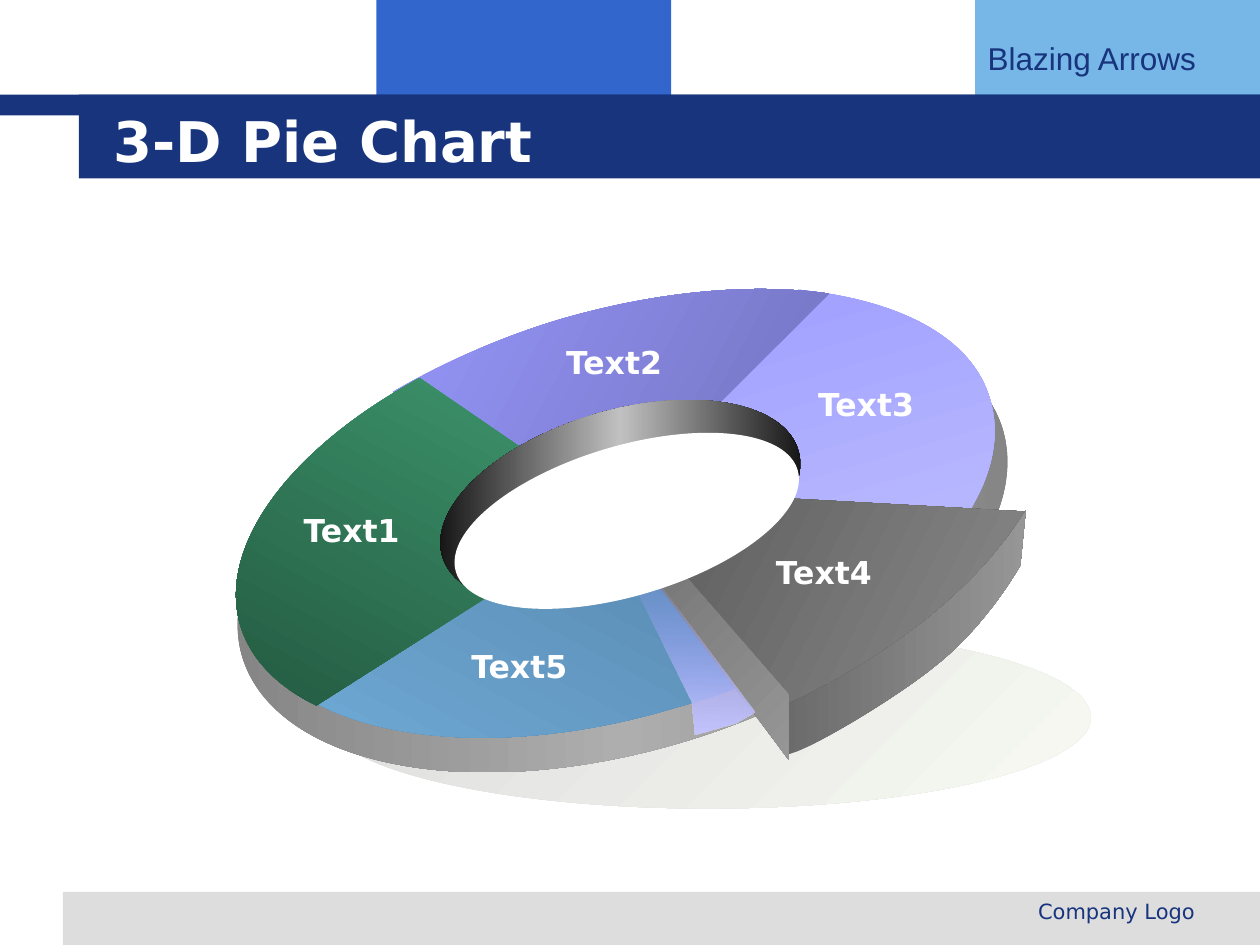
import math
from dataclasses import dataclass

import pptx
import pptx.dml.color
import pptx.enum.shapes
import pptx.enum.text
import pptx.oxml
import pptx.oxml.ns
import pptx.util
from pptx.util import Cm

ALIGN = pptx.enum.text.PP_ALIGN
SHAPE = pptx.enum.shapes.MSO_SHAPE


@dataclass(frozen=True)
class Theme:
    navy: str = "17347D"
    blue: str = "3366CC"
    sky: str = "77B7E7"
    silver: str = "DDDDDD"
    white: str = "FFFFFF"
    body_font: str = "DejaVu Sans"
    tag_font: str = "Arial"
    title_size: int = 32
    label_size: int = 18
    footer_size: int = 12
    tilt: float = 343.4


THEME = Theme()
LEVEL = 360 - THEME.tilt  # gradient angle that cancels the tilt

# Gradients: angle, then (position %, colour, opacity %) stops
SHADOW = (45, [(0, THEME.silver, 100), (100, "F7F9F2", 100)])
RIM = (LEVEL, [(0, "808080", 100), (50, "AEAEAE", 100), (100, "808080", 100)])
BASE = (45, [(0, "2791BB", 100), (100, "000000", 100)])
INNER_WALL = (LEVEL, [(0, "000000", 100), (50, "C1C1C1", 100), (100, "000000", 100)])
GAP_FLOOR = (90, [(0, "9999FF", 19), (100, "C3C3FF", 100)])


def two_tone(angle, first, last):
    return angle, [(0, first, 100), (100, last, 100)]


# Outlines in cm: a pair is a straight step, six numbers are a cubic curve
SLICES = [
    (two_tone(90, "9999FF", "C0C0FF"), THEME.tilt,
     [(16.1, 5.84), (18.19, 6.05, 19.61, 6.83, 19.96, 8.05),
      (20.19, 8.81, 19.99, 9.7, 19.35, 10.59), (12.4, 10.31)]),
    (two_tone(135, "5686AC", "73B0DE"), THEME.tilt,
     [(5.13, 13.03), (6.15, 14.88, 9.8, 15.42, 13.61, 14.27),
      (14.05, 14.15, 14.48, 14.02, 14.88, 13.84), (12.45, 10.36)]),
    (two_tone(45, "9797FC", "6E6EB7"), THEME.tilt,
     [(7.92, 7.9), (8.92, 7.32, 10.06, 6.81, 11.25, 6.45),
      (13.16, 5.89, 15.11, 5.69, 16.71, 5.92), (12.37, 10.24)]),
    (two_tone(135, "419F74", "22563E"), THEME.tilt,
     [(8.46, 7.62), (5.79, 9.07, 4.37, 11.05, 4.85, 12.62),
      (5.05, 13.28, 5.59, 13.84, 6.38, 14.22), (12.45, 10.36)]),
]
PULLED_SLICE = [
    (two_tone(0, "6B6B6B", "969696"), 0,
     [(15.85, 14.2), (20.68, 10.29), (20.57, 11.4),
      (20.27, 11.91, 19.69, 12.75, 18.9, 13.39),
      (18.14, 14.02, 16.38, 15.09, 15.88, 15.21),
      (15.8, 14.86, 15.85, 14.2, 15.85, 14.2)]),
    (two_tone(45, "555555", "8E8E8E"), 342.3,
     [(20.65, 10.31), (19.69, 11.86, 17.86, 13.31, 15.6, 14.3), (12.55, 9.86)]),
    (two_tone(45, "767676", "969696"), 0,
     [(15.9, 14), (15.9, 15.32), (13.06, 11.51), (13.49, 11.23)]),
]
GAP = [(12.83, 11.89), (13.94, 14.15), (14, 14.81), (14.81, 14.58),
       (15.21, 14.35), (13.31, 11.81)]
LABELS = [("Text1", 5.82, 10.18), ("Text2", 11.11, 6.8), ("Text3", 16.19, 7.64),
          ("Text4", 15.34, 11.02), ("Text5", 9.2, 12.91)]


def rgb(colour):
    return pptx.dml.color.RGBColor.from_string(colour)


def paint(shape, fill):
    """Fill with a plain colour or a gradient; no outline, no shadow."""
    shape.shadow.inherit = False
    shape.line.fill.background()
    if isinstance(fill, str):
        shape.fill.solid()
        shape.fill.fore_color.rgb = rgb(fill)
        return
    angle, stops = fill
    shape.fill.gradient()
    shape.fill.gradient_angle = (360 - angle) % 360
    stop_list = shape.element.spPr.find(".//" + pptx.oxml.ns.qn("a:gsLst"))
    for old_stop in list(stop_list):
        stop_list.remove(old_stop)
    for position, colour, opacity in stops:
        alpha = f'<a:alpha val="{opacity * 1000}"/>' if opacity < 100 else ""
        stop_list.append(pptx.oxml.parse_xml(
            f'<a:gs {pptx.oxml.ns.nsdecls("a")} pos="{position * 1000}">'
            f'<a:srgbClr val="{colour}">{alpha}</a:srgbClr></a:gs>'))


def write(shape, text, size, colour, font=THEME.body_font, bold=False,
          align=ALIGN.LEFT, wrap=True, anchor=pptx.enum.text.MSO_ANCHOR.TOP):
    frame = shape.text_frame
    frame.text = text
    frame.word_wrap = wrap
    frame.vertical_anchor = anchor
    paragraph = frame.paragraphs[0]
    paragraph.alignment = align
    style = paragraph.runs[0].font
    style.size, style.name, style.bold = pptx.util.Pt(size), font, bold
    style.color.rgb = rgb(colour)


def add_block(slide, kind, box, fill, rotation=0):
    block = slide.shapes.add_shape(kind, *map(Cm, box))
    block.rotation = rotation
    paint(block, fill)
    return block


def turn(point, degrees):
    c, s = math.cos(math.radians(degrees)), math.sin(math.radians(degrees))
    return point[0] * c - point[1] * s, point[0] * s + point[1] * c


def bend(part, outline):
    """Join the three line steps of each curve into one cubic step."""
    lines = iter(part.element.findall(".//" + pptx.oxml.ns.qn("a:lnTo")))
    for step in outline[1:]:
        first = next(lines)
        if len(step) == 2:
            continue
        curve = pptx.oxml.parse_xml(f'<a:cubicBezTo {pptx.oxml.ns.nsdecls("a")}/>')
        first.addprevious(curve)
        for line in (first, next(lines), next(lines)):
            curve.append(line[0])
            line.getparent().remove(line)


def add_outline(slide, outline, fill, rotation=0):
    """Draw the outline upright, then rotate it into place so its gradient tilts too."""
    points = [turn(step[i:i + 2], -rotation)
              for step in outline for i in range(0, len(step), 2)]
    middle = [(min(axis) + max(axis)) / 2 for axis in zip(*points)]
    target = turn(middle, rotation)
    placed = [(Cm(x - middle[0] + target[0]), Cm(y - middle[1] + target[1]))
              for x, y in points]
    builder = slide.shapes.build_freeform(*placed[0], scale=1.0)
    builder.add_line_segments(placed[1:], close=True)
    part = builder.convert_to_shape()
    bend(part, outline)
    part.rotation = rotation
    paint(part, fill)


def add_label(slide, text, box, size, colour, **style):
    label = slide.shapes.add_textbox(*map(Cm, box))
    write(label, text, size, colour, **style)


def add_frame(slide):
    add_block(slide, SHAPE.RECTANGLE, (7.59, 0, 5.94, 2.34), THEME.blue)
    tag = add_block(slide, SHAPE.RECTANGLE, (19.66, 0, 5.74, 2.34), THEME.sky)
    write(tag, "Blazing Arrows", THEME.label_size, THEME.navy, font=THEME.tag_font,
          wrap=False, anchor=pptx.enum.text.MSO_ANCHOR.MIDDLE)
    add_block(slide, SHAPE.RECTANGLE, (1.27, 17.98, 24.13, 1.07), THEME.silver)
    for band in ((0, 1.91, 25.4, 0.42), (1.59, 1.91, 23.81, 1.69)):
        add_block(slide, SHAPE.RECTANGLE, band, THEME.navy)
    add_label(slide, "Company Logo", (16.29, 17.98, 8.05, 0.89),
              THEME.footer_size, THEME.navy, align=ALIGN.RIGHT)


def add_pie(slide):
    # Shadow and solid ring
    add_block(slide, SHAPE.OVAL, (6.55, 12.62, 15.44, 3.68), SHADOW)
    add_block(slide, SHAPE.OVAL, (4.55, 6.76, 16, 8.38), RIM, THEME.tilt)
    add_block(slide, SHAPE.OVAL, (4.7, 6.3, 15.44, 8.13), BASE, THEME.tilt)
    # Slices, the pulled one in front
    for fill, rotation, outline in SLICES + PULLED_SLICE:
        add_outline(slide, outline, fill, rotation)
    # Hole and labels
    add_block(slide, SHAPE.OVAL, (8.76, 8.28, 7.49, 3.73), INNER_WALL, THEME.tilt)
    for text, left, top in LABELS:
        add_label(slide, text, (left, top, 2.54, 1.02), THEME.label_size,
                  THEME.white, bold=True, align=ALIGN.CENTER, wrap=False)
    add_outline(slide, GAP, GAP_FLOOR)
    add_block(slide, SHAPE.OVAL, (9.04, 8.99, 7.19, 3.02), THEME.white, THEME.tilt)


def set_title(slide, text):
    title = slide.shapes.title
    title.left, title.top, title.width, title.height = map(Cm, (2.03, 2.03, 21.67, 1.57))
    write(title, text, THEME.title_size, THEME.white, bold=True,
          anchor=pptx.enum.text.MSO_ANCHOR.MIDDLE)
    title.element.getparent().append(title.element)  # in front of the band


def main():
    deck = pptx.Presentation()
    deck.slide_width, deck.slide_height = Cm(25.4), Cm(19.05)
    slide = deck.slides.add_slide(deck.slide_layouts[5])
    add_frame(slide)
    add_pie(slide)
    set_title(slide, "3-D Pie Chart")
    deck.save("out.pptx")


main()
